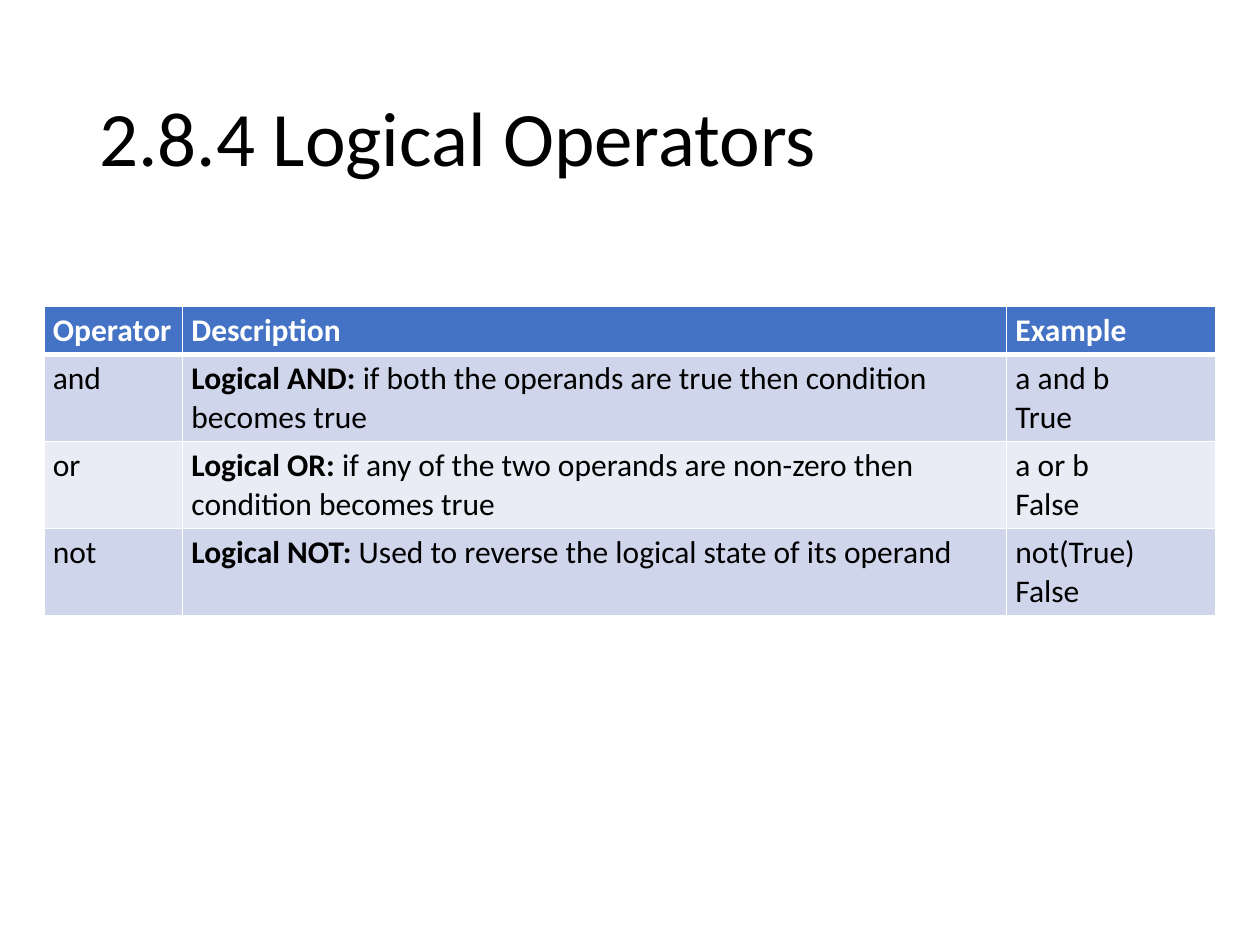
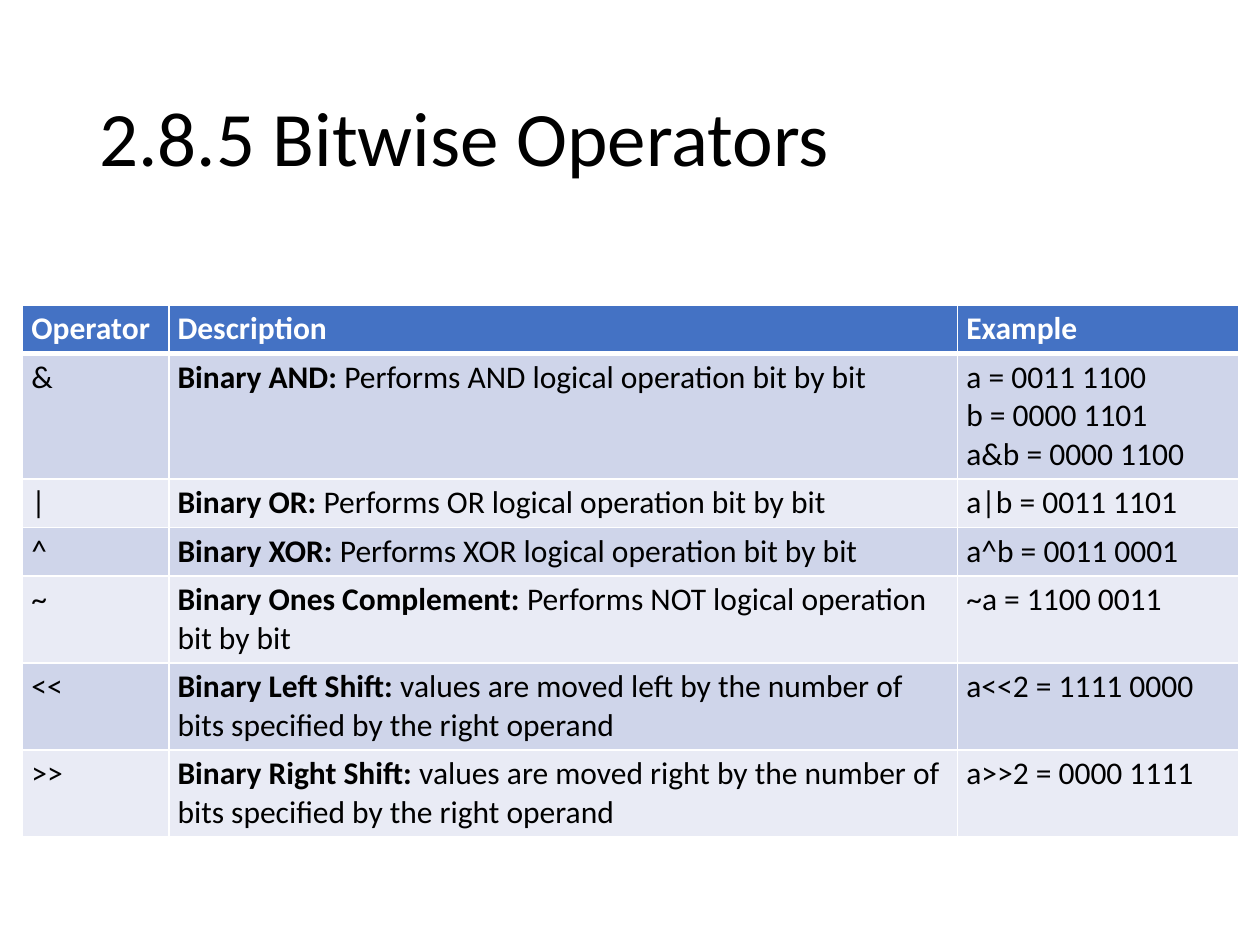
from lxml.etree import SubElement
from pptx import Presentation
from pptx.dml.color import RGBColor
from pptx.enum.text import MSO_ANCHOR, MSO_AUTO_SIZE, PP_ALIGN
from pptx.oxml.ns import qn
from pptx.util import Inches, Pt

BLACK = RGBColor(0x00, 0x00, 0x00)
WHITE = RGBColor(0xFF, 0xFF, 0xFF)
BLUE = RGBColor(0x44, 0x72, 0xC4)
BANDS = (RGBColor(0xCF, 0xD5, 0xEA), RGBColor(0xE9, 0xEB, 0xF5))
FONT = "Calibri"
TITLE_BOX = (0.69, 0.4, 8.62, 1.45)
ROW_HEIGHT = 0.3
HEADER = ("Operator", ("", "Description"), "Example")

LOGICAL = [
    ("and", ("Logical AND:", " if both the operands are true then condition becomes true"),
     "a and b\nTrue"),
    ("or", ("Logical OR:", " if any of the two operands are non-zero then condition becomes true"),
     "a or b\nFalse"),
    ("not", ("Logical NOT:", " Used to reverse the logical state of its operand"),
     "not(True)\nFalse"),
]
BITWISE = [
    ("&", ("Binary AND:", " Performs AND logical operation bit by bit"),
     "a = 0011 1100\nb = 0000 1101\na&b = 0000 1100"),
    ("|", ("Binary OR:", " Performs OR logical operation bit by bit"), "a|b = 0011 1101"),
    ("^", ("Binary XOR:", " Performs XOR logical operation bit by bit"), "a^b = 0011 0001"),
    ("~", ("Binary Ones Complement:", " Performs NOT logical operation bit by bit"),
     "~a = 1100 0011"),
    ("<<", ("Binary Left Shift:",
            " values are moved left by the number of bits specified by the right operand"),
     "a<<2 = 1111 0000"),
    (">>", ("Binary Right Shift:",
            " values are moved right by the number of bits specified by the right operand"),
     "a>>2 = 0000 1111"),
]


def style_font(p, size, color, bold=False):
    """Set the font of a whole paragraph."""
    p.font.name = FONT
    p.font.size = Pt(size)
    p.font.bold = bold
    p.font.color.rgb = color


def set_borders(cell, bottom):
    """Draw white cell borders, with the bottom one at the given width in points."""
    tc_pr = cell._tc.get_or_add_tcPr()
    for i, (side, width) in enumerate((("L", 1), ("R", 1), ("T", 1), ("B", bottom))):
        ln = SubElement(tc_pr, qn(f"a:ln{side}"), w=str(Pt(width)))
        fill = SubElement(ln, qn("a:solidFill"))
        SubElement(fill, qn("a:srgbClr"), val=str(WHITE))
        tc_pr.insert(i, ln)


def fill_cell(cell, content, fill, color, bold):
    """Write a text, or a bold term with its explanation, into a cell."""
    cell.margin_left = cell.margin_right = Inches(0.07)
    cell.margin_top = cell.margin_bottom = Inches(0.04)
    cell.fill.solid()
    cell.fill.fore_color.rgb = fill
    tf = cell.text_frame
    if isinstance(content, tuple):
        for text, strong in zip(content, (True, bold)):
            if text:
                r = tf.paragraphs[0].add_run()
                r.text = text
                r.font.bold = strong
    else:
        tf.text = content
    for p in tf.paragraphs:
        style_font(p, 18, color, bold)


def add_title(s, box, text):
    """Place and format the title placeholder."""
    sp = s.shapes.title
    sp.left, sp.top, sp.width, sp.height = map(Inches, box)
    tf = sp.text_frame
    tf.text = text
    tf.word_wrap = True
    tf.auto_size = MSO_AUTO_SIZE.NONE
    tf.vertical_anchor = MSO_ANCHOR.MIDDLE
    p = tf.paragraphs[0]
    p.alignment = PP_ALIGN.LEFT
    p.line_spacing = 0.9
    style_font(p, 44, BLACK)


def add_operator_table(s, box, widths, operators):
    """Add a banded table of operators under a blue header."""
    rows = [HEADER, *operators]
    frame = s.shapes.add_table(len(rows), len(widths), *map(Inches, box))
    table = frame.table
    for column, width in zip(table.columns, widths):
        column.width = Inches(width)
    for i, row in enumerate(rows):
        table.rows[i].height = Inches(ROW_HEIGHT)
        is_header = i == 0
        fill = BLUE if is_header else BANDS[(i - 1) % 2]
        for j, content in enumerate(row):
            cell = table.cell(i, j)
            fill_cell(cell, content, fill, WHITE if is_header else BLACK, is_header)
            set_borders(cell, 3 if is_header else 1)
    frame.height = Inches(box[3])


def add_operator_slide(prs, title, box, widths, operators):
    """Add a slide with a title and its operator table."""
    s = prs.slides.add_slide(prs.slide_layouts[5])
    add_title(s, TITLE_BOX, title)
    add_operator_table(s, box, widths, operators)


def main():
    """Build and save the presentation."""
    prs = Presentation()
    prs.slide_width, prs.slide_height = Inches(10), Inches(7.5)
    add_operator_slide(prs, "2.8.4 Logical Operators", (0.35, 2.43, 9.29, 2.4),
                       (1.1, 6.54, 1.66), LOGICAL)
    add_operator_slide(prs, "2.8.5 Bitwise Operators", (0.18, 2.42, 9.64, 4.12),
                       (1.16, 6.26, 2.23), BITWISE)
    prs.save("out.pptx")


if __name__ == "__main__":
    main()
